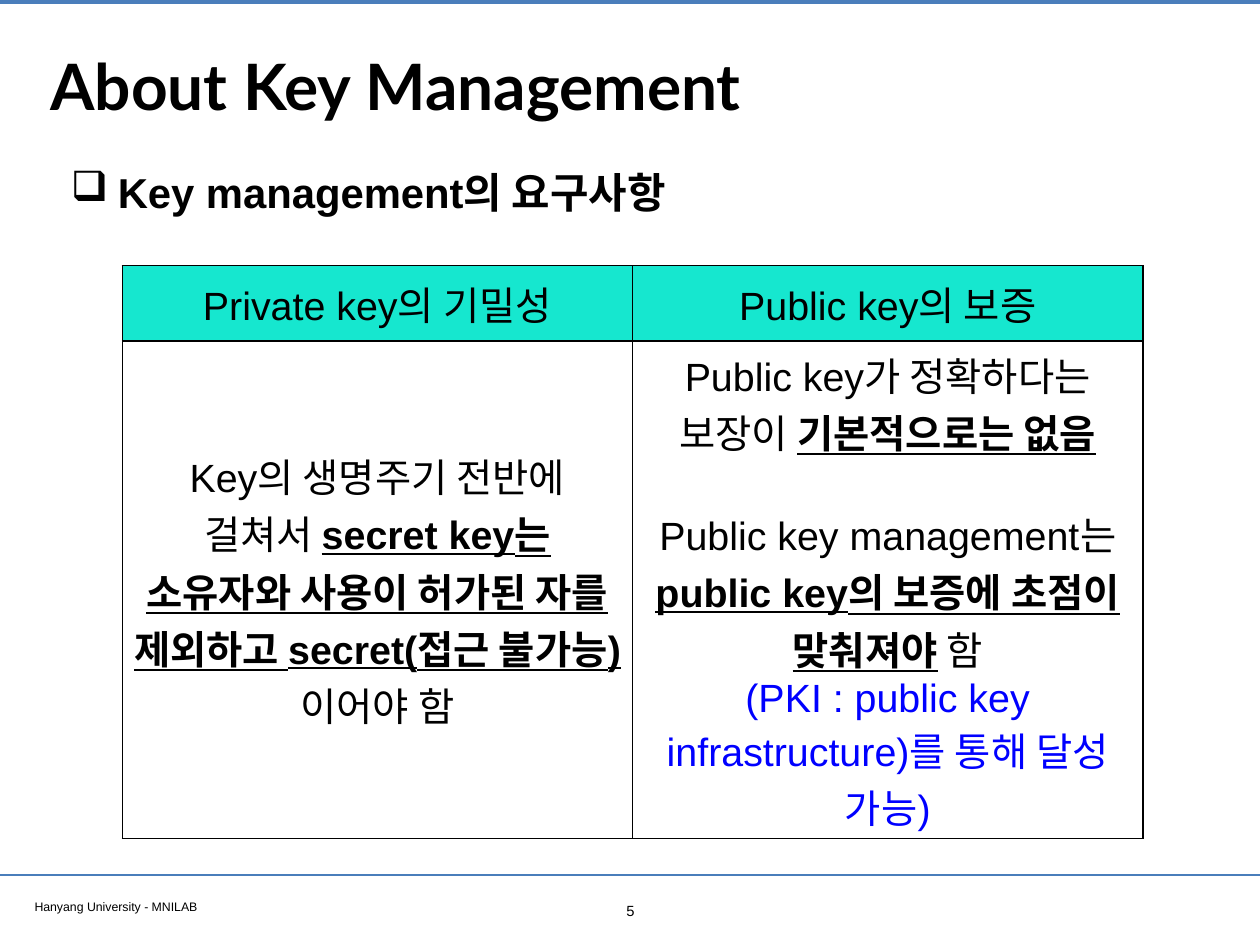
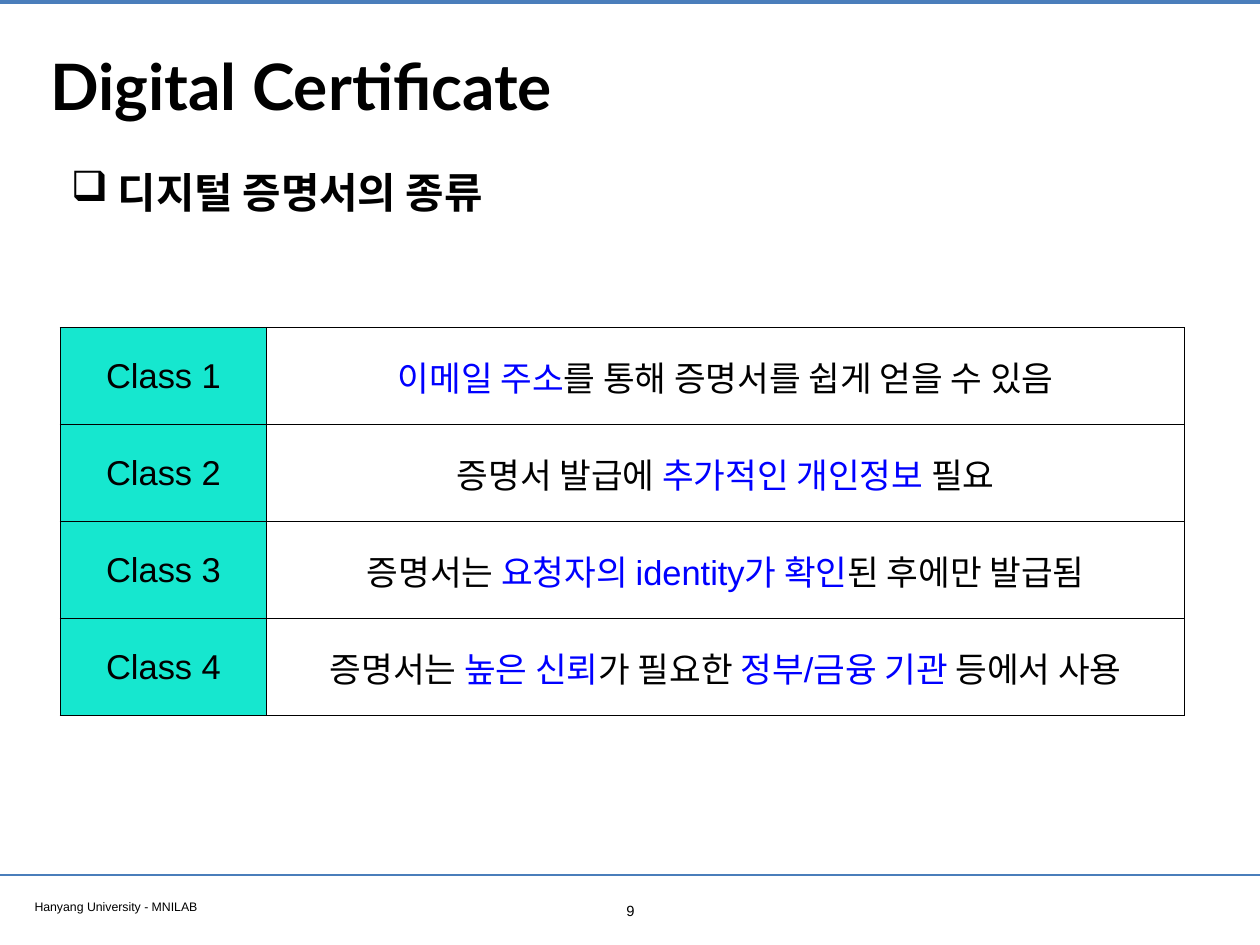
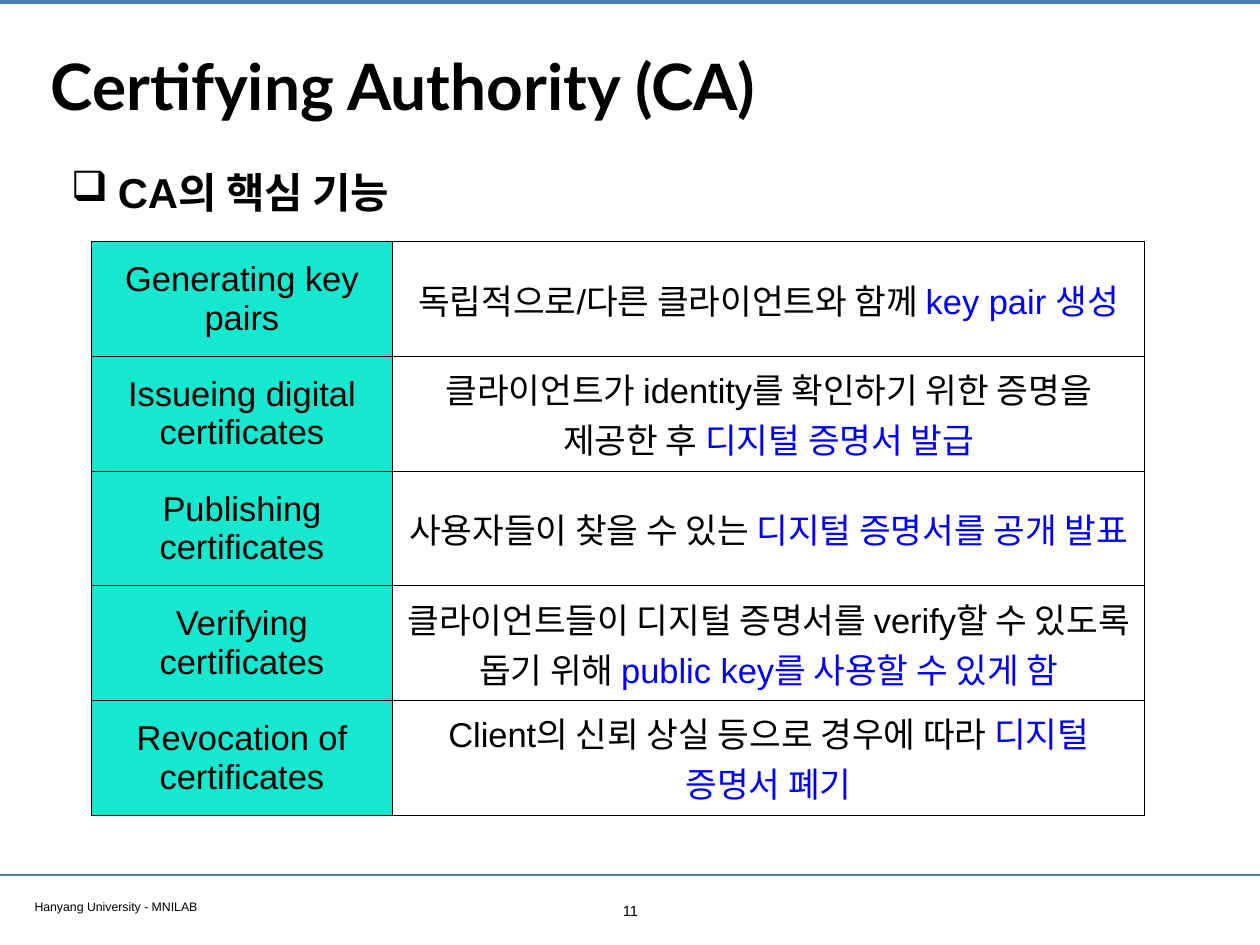
"""Build three key management slides with a shared frame and a table each."""
from lxml.etree import SubElement
from pptx import Presentation
from pptx.dml.color import RGBColor
from pptx.enum.shapes import MSO_CONNECTOR as Conn
from pptx.enum.text import MSO_ANCHOR as Anchor, PP_ALIGN as Align
from pptx.oxml import parse_xml
from pptx.oxml.ns import nsdecls, qn
from pptx.util import Inches, Pt

WIDE, HIGH = 14.22, 10.67
BLACK, BLUE, TEAL, RULE = "000000", "0000FF", "16E7CF", "4A7EBB"
FOOT = "Hanyang University - MNILAB"
RULES = [(0.02, 3.2), (9.88, 2)]

# Runs are split by "|"; "_" marks a bold underlined run, "#" a blue one.
SLIDES = [
    {
        "title": "About Key Management", "head": "Key management의 요구사항", "page": 5,
        "at": (1.38, 3), "cols": (5.76, 5.76), "rows": (0.85, 5.62), "size": 32,
        "fills": [(TEAL, TEAL), (None, None)],
        "cells": [
            (["Private key의 기밀성"], ["Public key의 보증"]),
            (["Key의 생명주기 전반에 걸쳐서 |_secret key는 소유자와 사용이 허가된 자를 "
              "제외하고 secret(접근 불가능)|이어야 함"],
             ["Public key가 정확하다는 보장이 |_기본적으로는 없음",
              "Public key management는 |_public key의 보증에 초점이 맞춰져야| 함",
              "#(PKI : public key infrastructure)를 통해 달성 가능)"]),
        ],
        "gaps": {1: 37},
    },
    {
        "title": "Digital Certificate", "head": "디지털 증명서의 종류", "page": 9,
        "at": (0.68, 3.7), "cols": (2.33, 10.36), "rows": (1.095,) * 4, "size": 28,
        "fills": [(TEAL, None)] * 4,
        "cells": [
            (["Class 1"], ["#이메일 주소|를 통해 증명서를 쉽게 얻을 수 있음"]),
            (["Class 2"], ["증명서 발급에 |#추가적인 개인정보| 필요"]),
            (["Class 3"], ["증명서는 |#요청자의 identity가 확인|된 후에만 발급됨"]),
            (["Class 4"], ["증명서는 |#높은 신뢰|가 필요한 |#정부/금융 기관| 등에서 사용"]),
        ],
    },
    {
        "title": "Certifying Authority (CA)", "head": "CA의 핵심 기능", "page": 11,
        "at": (1.03, 2.73), "cols": (3.4, 8.49), "rows": (1.295,) * 5, "size": 28,
        "fills": [(TEAL, None)] * 5,
        "cells": [
            (["Generating key pairs"],
             ["독립적으로/다른 클라이언트와 함께 |#key pair 생성"]),
            (["Issueing digital certificates"],
             ["클라이언트가 identity를 확인하기 위한 증명을 제공한 후 |#디지털 증명서 발급"]),
            (["Publishing certificates"],
             ["사용자들이 찾을 수 있는 |#디지털 증명서를 공개 발표"]),
            (["Verifying certificates"],
             ["클라이언트들이 디지털 증명서를 verify할 수 있도록 돕기 위해 "
              "|#public key를 사용할 수 있게 함"]),
            (["Revocation of certificates"],
             ["Client의 신뢰 상실 등으로 경우에 따라 |#디지털 증명서 폐기"]),
        ],
    },
]


def color(code):
    return RGBColor.from_string(code)


def style(font, size, name="Arial", bold=False, tint=BLACK):
    font.size, font.name, font.bold = Pt(size), name, bold
    font.color.rgb = color(tint)


def add_text(slide, box, text, size, name="Arial", bold=False,
             align=Align.LEFT, anchor=Anchor.TOP):
    frame = slide.shapes.add_textbox(*map(Inches, box)).text_frame
    frame.word_wrap, frame.vertical_anchor = True, anchor
    frame.margin_left = frame.margin_right = Inches(0.06)
    frame.margin_top = frame.margin_bottom = Inches(0.06)
    frame.text = text
    para = frame.paragraphs[0]
    para.alignment = align
    style(para.runs[0].font, size, name, bold)
    return para


def add_head(slide, text):
    para = add_text(slide, (0.74, 1.71, 12.6, 1.01), text, 34, bold=True)
    para.line_spacing = 1.2
    props = para._p.get_or_add_pPr()
    props.set("marL", str(Inches(0.53)))
    props.set("indent", str(-Inches(0.53)))
    SubElement(props, qn("a:buChar")).set("char", "❑")


def add_frame(slide, title, page):
    for top, weight in RULES:
        line = slide.shapes.add_connector(
            Conn.STRAIGHT, 0, Inches(top), Inches(WIDE), Inches(top))
        line.line.color.rgb, line.line.width = color(RULE), Pt(weight)
        SubElement(line._element.spPr, qn("a:effectLst"))
    add_text(slide, (0.33, 10.09, 5.46, 0.26), FOOT, 10)
    add_text(slide, (0.51, 0.28, 13.21, 1.35), title, 52, "Lato", True,
             anchor=Anchor.MIDDLE)
    add_text(slide, (6.92, 10.12, 0.39, 0.31), str(page), 12, align=Align.CENTER)


def add_border(cell):
    props = cell._tc.get_or_add_tcPr()
    for spot, side in enumerate("LRTB"):
        props.insert(spot, parse_xml(
            f'<a:ln{side} {nsdecls("a")} w="{Pt(1)}"><a:solidFill>'
            f'<a:srgbClr val="{BLACK}"/></a:solidFill></a:ln{side}>'))


def fill_cell(cell, lines, size, fill, gaps):
    cell.vertical_anchor = Anchor.MIDDLE
    if fill:
        cell.fill.solid()
        cell.fill.fore_color.rgb = color(fill)
    else:
        cell.fill.background()
    add_border(cell)
    frame = cell.text_frame
    for spot, line in enumerate(lines):
        para = frame.add_paragraph() if spot else frame.paragraphs[0]
        para.alignment = Align.CENTER
        if spot in gaps:
            para.space_before = Pt(gaps[spot])
        for part in line.split("|"):
            strong, blue = part.startswith("_"), part.startswith("#")
            run = para.add_run()
            run.text = part[1:] if strong or blue else part
            style(run.font, size, bold=strong, tint=BLUE if blue else BLACK)
            run.font.underline = strong


def add_grid(slide, data):
    cols, rows = data["cols"], data["rows"]
    box = (*data["at"], sum(cols), sum(rows))
    grid = slide.shapes.add_table(len(rows), len(cols), *map(Inches, box)).table
    grid.first_row = grid.horz_banding = False
    for col, width in zip(grid.columns, cols):
        col.width = Inches(width)
    for row, height in zip(grid.rows, rows):
        row.height = Inches(height)
    for y, texts in enumerate(data["cells"]):
        for x, lines in enumerate(texts):
            fill_cell(grid.cell(y, x), lines, data["size"], data["fills"][y][x],
                      data.get("gaps", {}))


def main():
    deck = Presentation()
    deck.slide_width, deck.slide_height = Inches(WIDE), Inches(HIGH)
    for data in SLIDES:
        slide = deck.slides.add_slide(deck.slide_layouts[6])
        add_frame(slide, data["title"], data["page"])
        add_head(slide, data["head"])
        add_grid(slide, data)
    deck.save("out.pptx")


if __name__ == "__main__":
    main()
